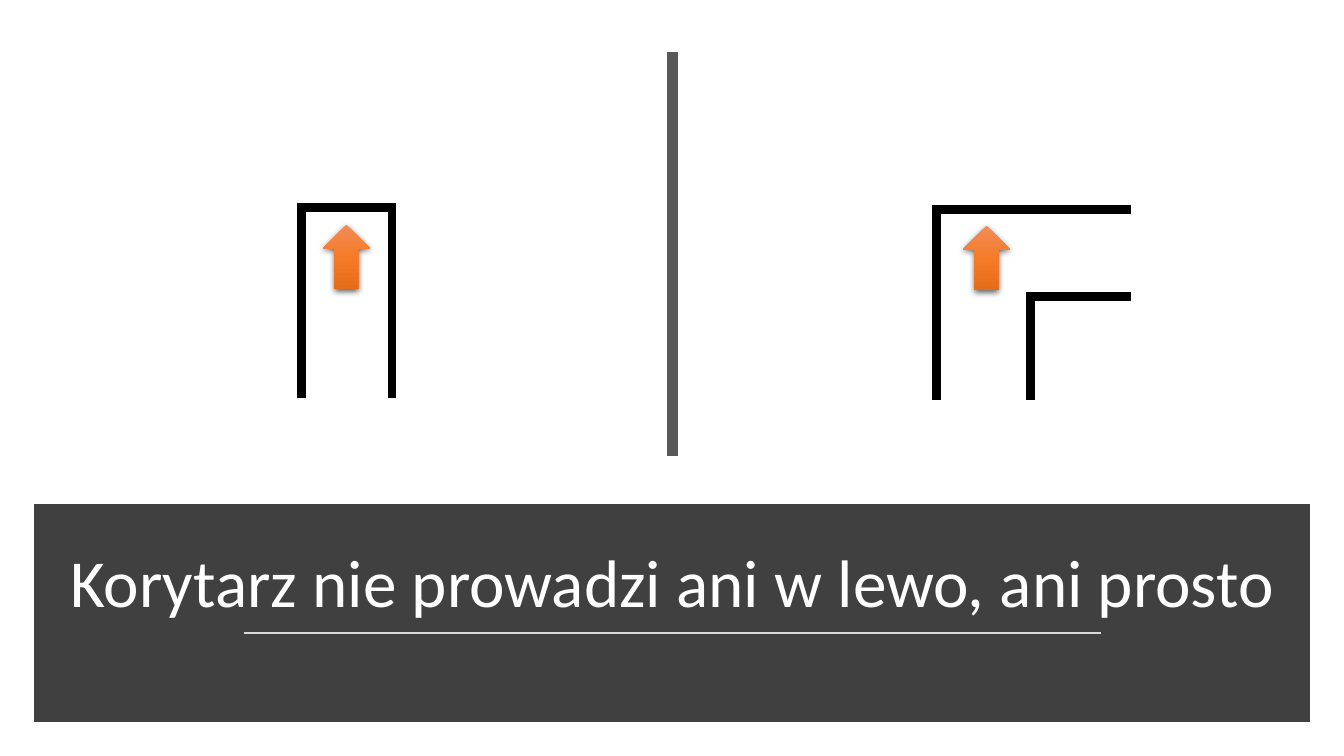
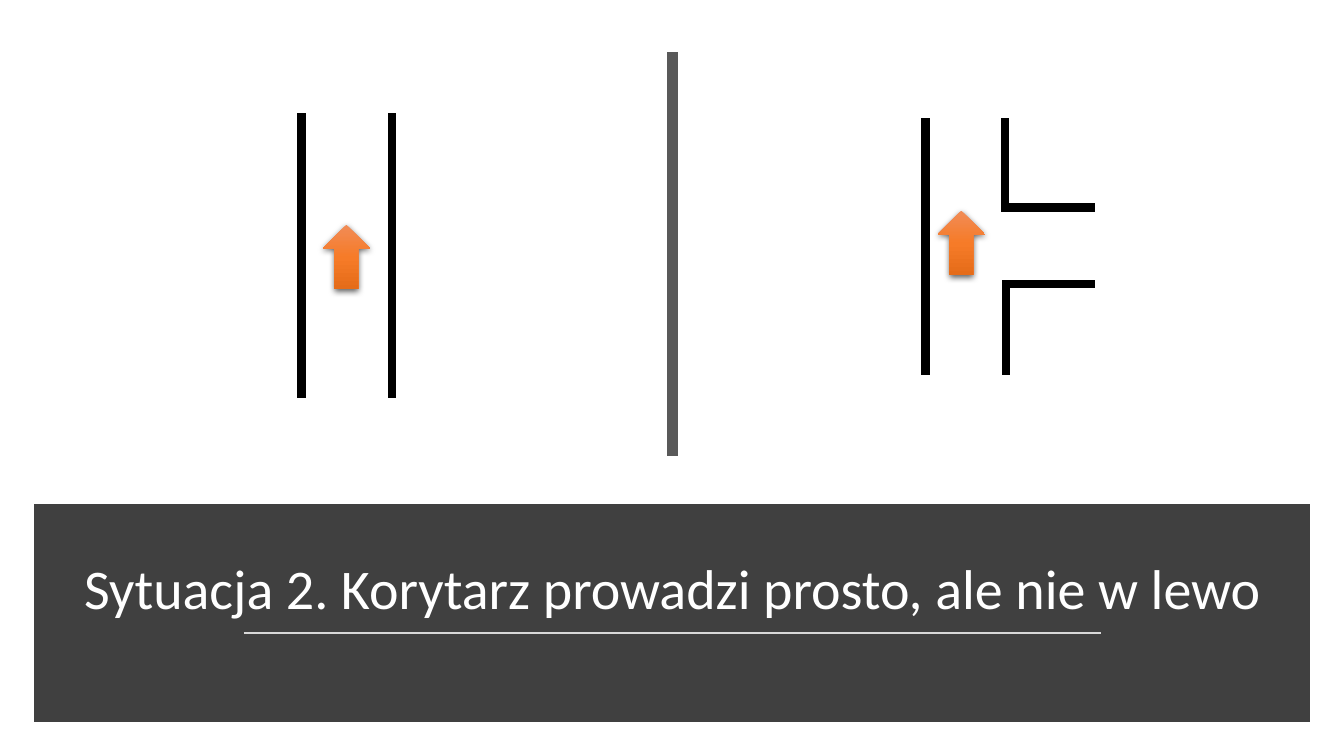
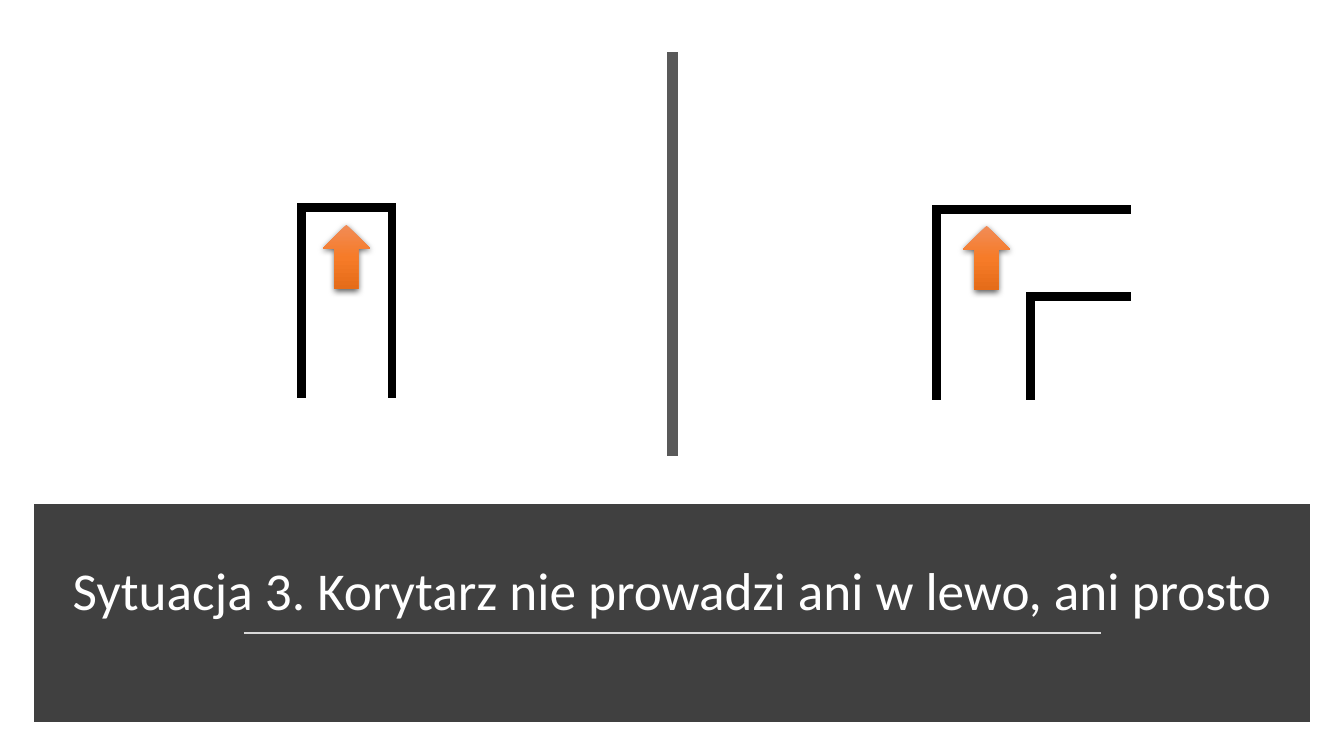
from dataclasses import dataclass

from lxml import etree
from pptx import Presentation
from pptx.dml.color import RGBColor
from pptx.enum.shapes import MSO_CONNECTOR, MSO_SHAPE
from pptx.enum.text import MSO_ANCHOR, MSO_AUTO_SIZE, PP_ALIGN
from pptx.oxml import parse_xml
from pptx.oxml.ns import nsdecls, qn
from pptx.util import Inches, Pt

STRAIGHT = MSO_CONNECTOR.STRAIGHT
RECTANGLE, UP_ARROW = MSO_SHAPE.RECTANGLE, MSO_SHAPE.UP_ARROW
TITLE_ONLY = 5


@dataclass(frozen=True)
class Theme:
    font: str = "Calibri"
    title: str = "FFFFFF"
    band: str = "404040"
    underline: str = "D9D9D9"
    divider: str = "595959"
    wall: str = "000000"
    arrow: tuple = ((0, "F18C57"), (50, "F67B28"), (100, "E56C19"))
    band_border: float = 10
    underline_width: float = 1.75
    divider_width: float = 8
    wall_width: float = 6
    arrow_size: tuple = (0.47, 0.64)


THEME = Theme()

BAND = (0.41, 5.07, 12.51, 2.02)
TITLE_BOX = (0.58, 5.2, 12.18, 1.02)
UNDERLINE = (2.42, 6.28, 10.92, 6.28)
DIVIDER = (6.67, 0.52, 6.67, 4.52)

# Walls are (x1, y1, x2, y2); the arrow is the walker's top left corner.
DEAD_END = {
    "walls": [(3.89, 3.91, 3.89, 2.06), (2.99, 3.91, 2.99, 2.06),
              (3.89, 2.06, 2.99, 2.06)],
    "arrow": (3.2, 2.23),
}
RIGHT_TURN = {
    "walls": [(10.22, 3.93, 10.22, 2.95), (9.29, 3.93, 9.29, 2.08),
              (11.18, 2.94, 10.22, 2.94), (11.18, 2.08, 9.29, 2.08)],
    "arrow": (9.55, 2.24),
}
STRAIGHT_ON = {
    "walls": [(3.89, 3.91, 3.89, 1.16), (2.99, 3.91, 2.99, 1.16)],
    "arrow": (3.2, 2.23),
}
RIGHT_BRANCH = {
    "walls": [(9.98, 3.68, 9.98, 2.83), (9.18, 3.68, 9.18, 1.21),
              (10.82, 2.82, 9.98, 2.82), (10.82, 2.06, 9.98, 2.06),
              (9.97, 2.06, 9.97, 1.21)],
    "arrow": (9.3, 2.09),
}

SITUATIONS = [
    ("Korytarz nie prowadzi ani w lewo, ani prosto", 48,
     (RIGHT_TURN, DEAD_END)),
    ("Sytuacja 2. Korytarz prowadzi prosto, ale nie w lewo", 40,
     (STRAIGHT_ON, RIGHT_BRANCH)),
    ("Sytuacja 3. Korytarz nie prowadzi ani w lewo, ani prosto", 38,
     (RIGHT_TURN, DEAD_END)),
]


def inches(values):
    return [Inches(value) for value in values]


def set_all(target, values):
    for name, value in values.items():
        setattr(target, name, value)


def style_line(line, color, width):
    line.color.rgb = RGBColor.from_string(color)
    line.width = Pt(width)


def add_line(shapes, ends, color, width, cap="flat"):
    connector = shapes.add_connector(STRAIGHT, *inches(ends))
    style_line(connector.line, color, width)
    properties = connector._element.spPr
    properties.find(qn("a:ln")).set("cap", cap)
    etree.SubElement(properties, qn("a:effectLst"))


def add_arrow(shapes, corner):
    arrow = shapes.add_shape(UP_ARROW, *inches(corner + THEME.arrow_size))
    arrow.line.fill.background()
    stops = "".join(
        f'<a:gs pos="{position * 1000}"><a:srgbClr val="{color}"/></a:gs>'
        for position, color in THEME.arrow)
    gradient = parse_xml(
        f'<a:gradFill {nsdecls("a")} rotWithShape="1"><a:gsLst>{stops}</a:gsLst>'
        '<a:lin ang="5400000" scaled="0"/></a:gradFill>')
    shadow = parse_xml(
        f'<a:effectLst {nsdecls("a")}><a:outerShdw blurRad="{Pt(4.5)}" '
        f'dist="{Pt(1.5)}" dir="5400000" algn="ctr" rotWithShape="0">'
        '<a:srgbClr val="000000"><a:alpha val="63000"/></a:srgbClr>'
        '</a:outerShdw></a:effectLst>')
    properties = arrow._element.spPr
    properties.find(qn("a:ln")).addprevious(gradient)
    properties.append(shadow)


def add_corridor(slide, corridor):
    group = slide.shapes.add_group_shape()
    for wall in corridor["walls"]:
        add_line(group.shapes, wall, THEME.wall, THEME.wall_width, cap="sq")
    add_arrow(group.shapes, corridor["arrow"])


def add_frame(slide):
    """Draw the title band, the rule under the title and the divider."""
    band = slide.shapes.add_shape(RECTANGLE, *inches(BAND))
    band.shadow.inherit = False
    band.fill.solid()
    band.fill.fore_color.rgb = RGBColor.from_string(THEME.band)
    style_line(band.line, THEME.band, THEME.band_border)
    etree.SubElement(band._element.spPr.find(qn("a:ln")),
                     qn("a:miter"), lim="800000")
    add_line(slide.shapes, UNDERLINE, THEME.underline, THEME.underline_width)
    add_line(slide.shapes, DIVIDER, THEME.divider, THEME.divider_width)


def set_title(slide, text, size):
    """Fill the title placeholder and bring it in front of the band."""
    title = slide.shapes.title
    set_all(title, dict(zip(("left", "top", "width", "height"),
                            inches(TITLE_BOX))))
    frame = title.text_frame
    frame.text = text
    set_all(frame, {"word_wrap": True, "auto_size": MSO_AUTO_SIZE.NONE,
                    "vertical_anchor": MSO_ANCHOR.BOTTOM})
    paragraph = frame.paragraphs[0]
    set_all(paragraph, {"alignment": PP_ALIGN.CENTER, "line_spacing": 0.9})
    font = paragraph.runs[0].font
    set_all(font, {"name": THEME.font, "size": Pt(size)})
    font.color.rgb = RGBColor.from_string(THEME.title)
    slide.shapes._spTree.append(title._element)


def main():
    deck = Presentation()
    set_all(deck, {"slide_width": Inches(13.33), "slide_height": Inches(7.5)})
    for text, size, corridors in SITUATIONS:
        slide = deck.slides.add_slide(deck.slide_layouts[TITLE_ONLY])
        add_frame(slide)
        set_title(slide, text, size)
        for corridor in corridors:
            add_corridor(slide, corridor)
    deck.save("out.pptx")


if __name__ == "__main__":
    main()
